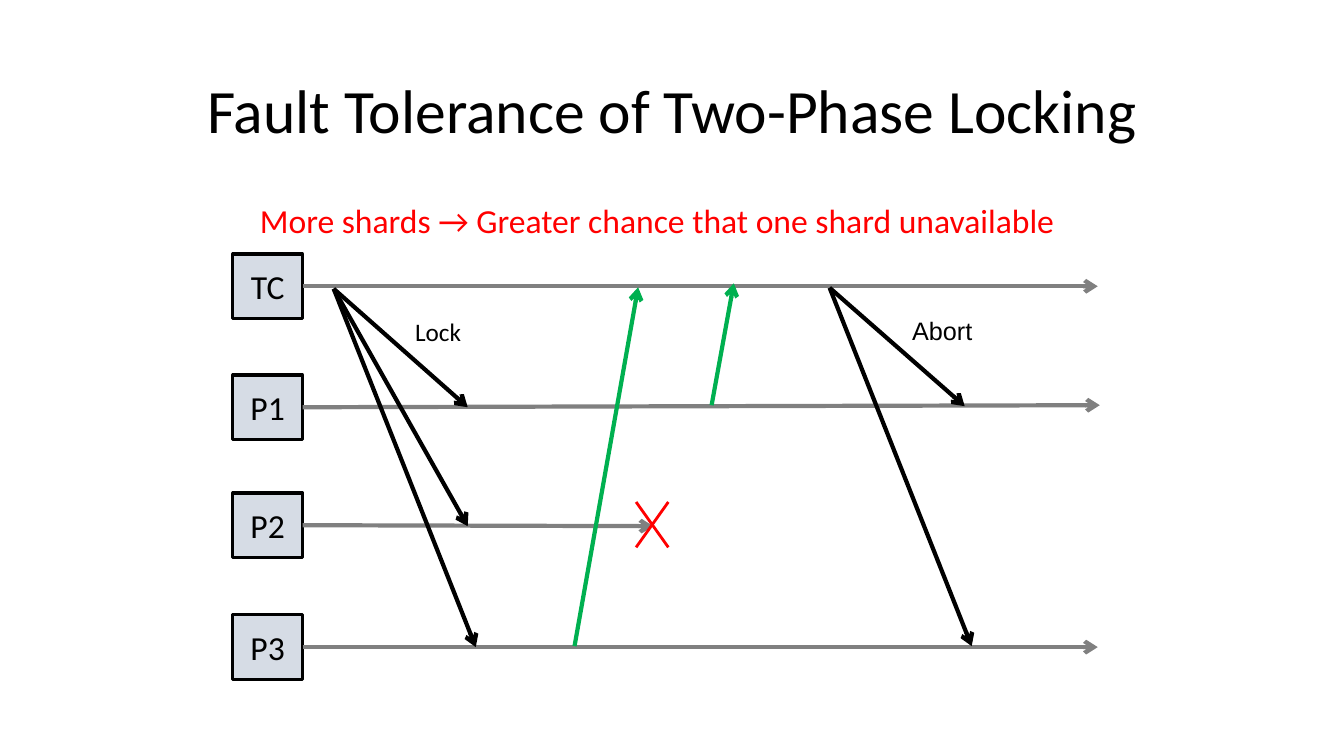
import pptx
import pptx.dml.color
import pptx.enum.shapes
import pptx.enum.text
import pptx.oxml
import pptx.oxml.ns
import pptx.util

THEME = {
    "ink": "000000", "lane": "808080", "node": "D6DCE5", "reply": "00B050", "alert": "FF0000",
    "font": "Calibri", "label_font": "Arial",
    "title": 44, "body": 24, "label": 18,
    "border": 2.25, "arrow": 3, "cross": 2,
}

deck = pptx.Presentation()
deck.slide_width = pptx.util.Inches(13.333)
deck.slide_height = pptx.util.Inches(7.5)
page = deck.slides.add_slide(deck.slide_layouts[6])
column = deck.slide_width / 100
row = deck.slide_height / 100


def write(box, text, size, color=THEME["ink"], font=THEME["font"], align="LEFT", anchor="TOP", wrap=False, spacing=1.0):
    frame = box.text_frame
    frame.word_wrap = wrap
    frame.vertical_anchor = getattr(pptx.enum.text.MSO_ANCHOR, anchor)
    if not wrap:
        frame.auto_size = pptx.enum.text.MSO_AUTO_SIZE.SHAPE_TO_FIT_TEXT
    para = frame.paragraphs[0]
    para.alignment = getattr(pptx.enum.text.PP_ALIGN, align)
    para.line_spacing = spacing
    span = para.add_run()
    span.text = text
    span.font.name = font
    span.font.size = pptx.util.Pt(size)
    span.font.color.rgb = pptx.dml.color.RGBColor.from_string(color)


def draw_line(shapes, start, end, color, width, arrow=True):
    line = shapes.add_connector(
        pptx.enum.shapes.MSO_CONNECTOR.STRAIGHT,
        round(start[0] * column), round(start[1] * row), round(end[0] * column), round(end[1] * row))
    line.line.color.rgb = pptx.dml.color.RGBColor.from_string(color)
    line.line.width = pptx.util.Pt(width)
    if arrow:
        tail = pptx.oxml.parse_xml(f'<a:tailEnd {pptx.oxml.ns.nsdecls("a")} type="arrow"/>')
        line.line._get_or_add_ln().append(tail)
    line._element.spPr.append(pptx.oxml.parse_xml(f'<a:effectLst {pptx.oxml.ns.nsdecls("a")}/>'))
    return line


node_left, node_width, node_height = 17.33, 5.18, 8.53
node_right = node_left + node_width
lanes = [
    ("TC", 37.87, (81.68, 37.87)),
    ("P1", 53.87, (81.83, 53.6)),
    ("P2", 69.47, (48.6, 69.6)),
    ("P3", 85.6, (81.68, 85.6)),
]
for name, middle, lane_end in lanes:
    node = page.shapes.add_shape(
        pptx.enum.shapes.MSO_SHAPE.FLOWCHART_PROCESS,
        round(node_left * column), round((middle - node_height / 2) * row),
        round(node_width * column), round(node_height * row))
    node.shadow.inherit = False
    node.fill.solid()
    node.fill.fore_color.rgb = pptx.dml.color.RGBColor.from_string(THEME["node"])
    node.line.color.rgb = pptx.dml.color.RGBColor.from_string(THEME["ink"])
    node.line.width = pptx.util.Pt(THEME["border"])
    write(node, name, THEME["body"], align="CENTER", anchor="MIDDLE", wrap=True)
    lane = draw_line(page.shapes, (node_right, middle), lane_end, THEME["lane"], THEME["arrow"])
    lane.begin_connect(node, 3)

lock_start, abort_start = (24.83, 38.2), (61.73, 38.07)
messages = [
    (lock_start, (34.8, 53.87), "ink"),
    (lock_start, (34.8, 69.6), "ink"),
    (lock_start, (35.4, 85.6), "ink"),
    ((42.75, 85.47), (47.48, 38), "reply"),
    ((52.95, 53.6), (54.6, 37.47), "reply"),
    (abort_start, (71.78, 53.73), "ink"),
    (abort_start, (72.3, 85.47), "ink"),
]
for start, end, role in messages:
    draw_line(page.shapes, start, end, THEME[role], THEME["arrow"])

cross = page.shapes.add_group_shape()
cross_left, cross_right, cross_top, cross_bottom = 47.33, 49.73, 66.4, 72.4
for first, last in [(cross_left, cross_right), (cross_right, cross_left)]:
    draw_line(cross.shapes, (first, cross_top), (last, cross_bottom), THEME["alert"], THEME["cross"], arrow=False)

texts = [
    ("Fault Tolerance of Two-Phase Locking", (6.9, 5.33, 86.25, 19.33),
     dict(size=THEME["title"], align="CENTER", anchor="MIDDLE", wrap=True, spacing=0.9)),
    ("More shards → Greater chance that one shard unavailable", (18.6, 25.73, 67.2, 6.67),
     dict(size=THEME["body"], color=THEME["alert"])),
    ("Lock", (30.15, 41.2, 5.4, 4.93), dict(size=THEME["label"])),
    ("Abort", (67.13, 41.07, 6, 4.93), dict(size=THEME["label"], font=THEME["label_font"])),
]
for text, (left, top, width, height), style in texts:
    box = page.shapes.add_textbox(
        round(left * column), round(top * row), round(width * column), round(height * row))
    write(box, text, **style)

deck.save("out.pptx")
